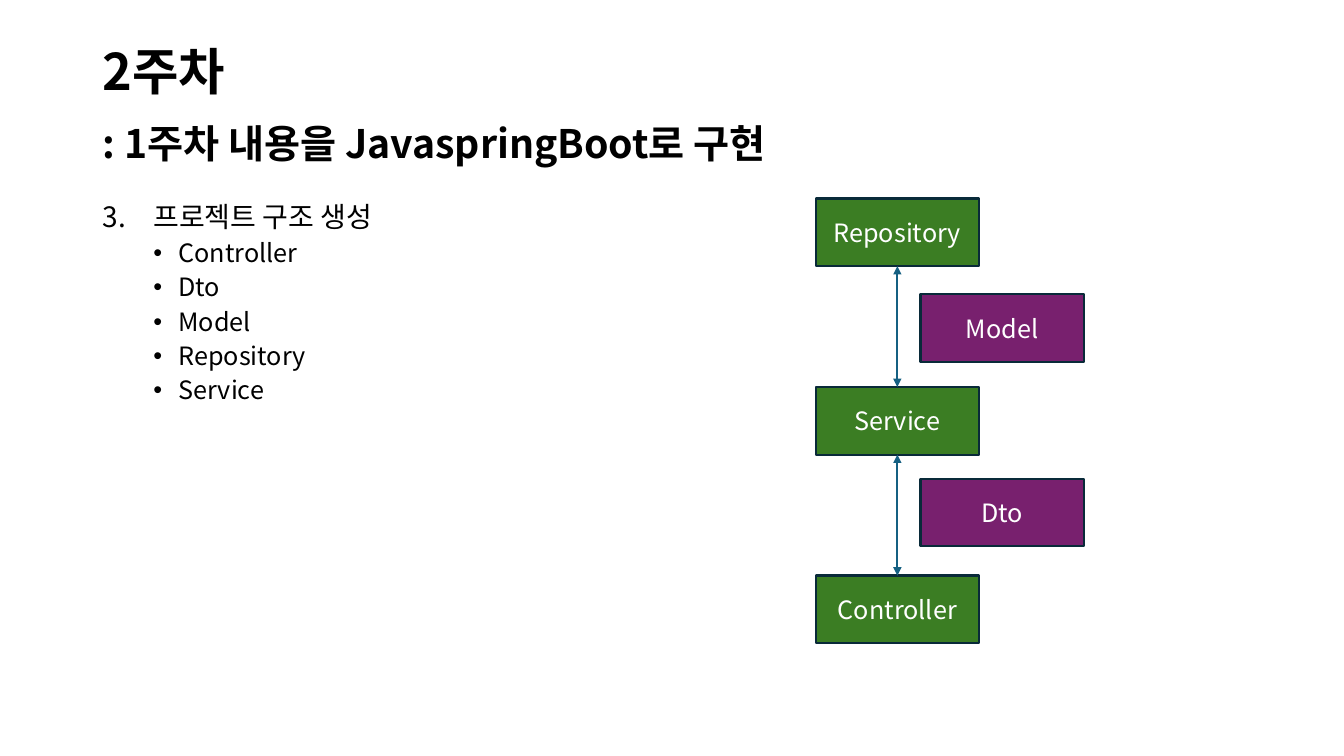
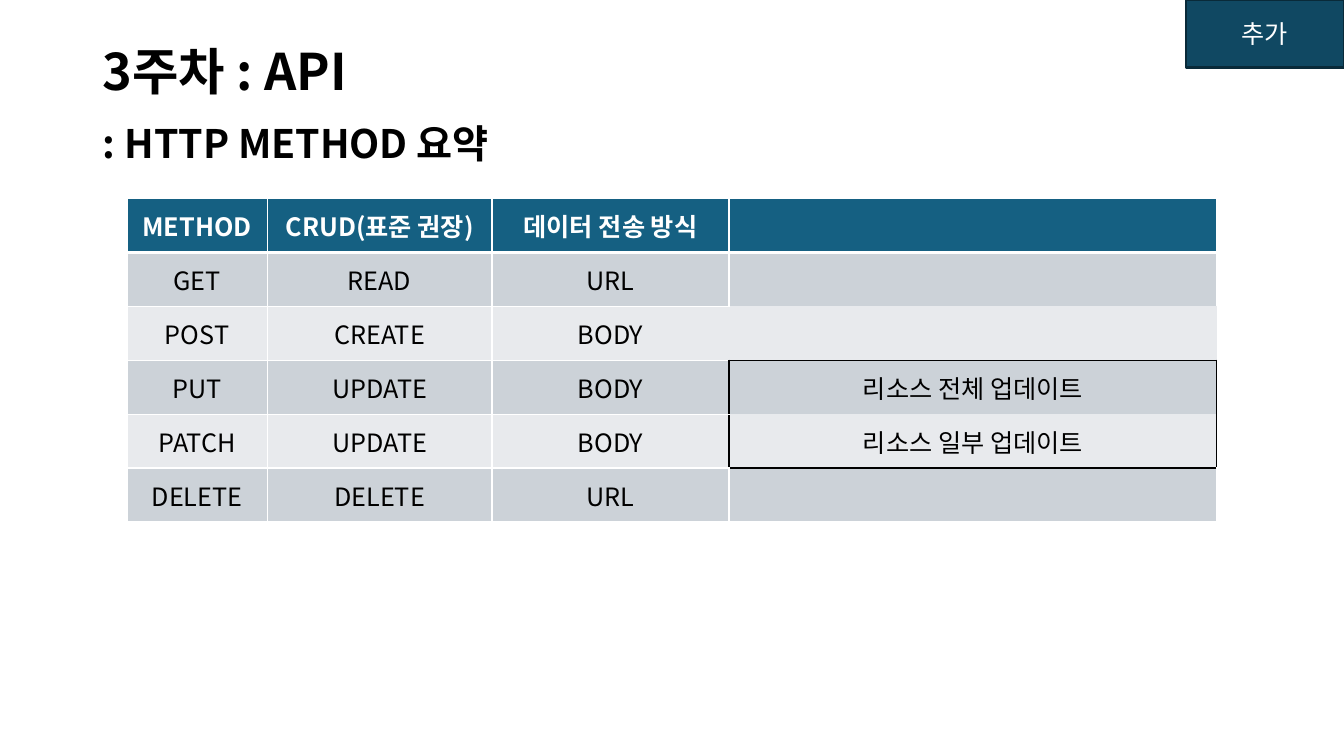
"""Builds two lecture slides: a layered project structure and a summary of HTTP methods."""
from pptx import Presentation, util as u
from pptx.dml import color
from pptx.enum import shapes, text
from pptx.oxml import ns
from lxml import etree

FONT = "Noto Sans CJK KR"
BLACK, WHITE, OUTLINE = "000000", "FFFFFF", "092A39"
GREEN, PURPLE, BLUE, DARK_BLUE = "3B7D23", "78206E", "156082", "104862"
BANDS = "CCD2D8", "E8EAED"
WIDTH, HEIGHT = 13.33, 7.5
LEFT, TOP, FULL = 0.92, 1.97, 11.5
BOX_WIDTH, BOX_HEIGHT = 1.62, 0.67
LAYER_LEFT, LAYER_STEP, CARRIER_LEFT = 8.09, 1.87, 9.13

STRUCTURE = {
    "title": "2주차",
    "subtitle": ": 1주차 내용을 JavaspringBoot로 구현",
    "item": "프로젝트 구조 생성",
    "parts": ["Controller", "Dto", "Model", "Repository", "Service"],
    "layers": ["Repository", "Service", "Controller"],
    "carriers": [("Model", 2.92), ("Dto", 4.75)],
}
METHODS = {
    "title": "3주차 : API",
    "subtitle": ": HTTP METHOD 요약",
    "tag": "추가",
    "columns": [1.39, 2.23, 2.35, 4.84],
    "rows": [
        ("METHOD", "CRUD(표준 권장)", "데이터 전송 방식", ""),
        ("GET", "READ", "URL", ""),
        ("POST", "CREATE", "BODY", ""),
        ("PUT", "UPDATE", "BODY", "리소스 전체 업데이트"),
        ("PATCH", "UPDATE", "BODY", "리소스 일부 업데이트"),
        ("DELETE", "DELETE", "URL", ""),
    ],
}
ROW_HEIGHT, TABLE_LEFT = 0.535, 1.26
NOTE_SIDES = [WHITE, WHITE, None, BLACK, BLACK, WHITE]
NOTE_LEVELS = [WHITE, WHITE, None, BLACK, None, BLACK, WHITE]


def rgb(value):
    """Turn a hex string into a colour."""
    return color.RGBColor.from_string(value)


def add_node(parent, tag, **attributes):
    """Append a drawing element with its attributes."""
    return etree.SubElement(parent, ns.qn("a:" + tag), attributes)


def write(para, words, size=18, ink=BLACK, bold=False, align=None, before=0, spacing=None):
    """Put one formatted span of text into a paragraph."""
    para.alignment = align
    para.space_before = u.Pt(before)
    para.line_spacing = spacing
    span = para.add_run()
    span.text = words
    span.font.size, span.font.bold, span.font.name = u.Pt(size), bold, FONT
    span.font.color.rgb = rgb(ink)
    add_node(span.font._element, "ea", typeface=FONT)


def set_bullet(para, margin, hang, tag, **attributes):
    """Give a paragraph its indent and bullet."""
    props = para._p.get_or_add_pPr()
    props.set("marL", str(u.Inches(margin)))
    props.set("indent", str(u.Inches(-hang)))
    add_node(props, tag, **attributes)


def place(holder, top, height, anchor):
    """Move a placeholder to the shared text column."""
    holder.left, holder.top = u.Inches(LEFT), u.Inches(top)
    holder.width, holder.height = u.Inches(FULL), u.Inches(height)
    frame = holder.text_frame
    frame.auto_size = text.MSO_AUTO_SIZE.NONE
    frame.word_wrap = True
    frame.vertical_anchor = anchor
    return frame


def add_headings(page, content, subtitle):
    """Fill the title and subtitle that every slide has."""
    middle = text.MSO_ANCHOR.MIDDLE
    left = text.PP_ALIGN.LEFT
    para = place(page.shapes.title, 0.4, 0.68, middle).paragraphs[0]
    write(para, content["title"], size=36, bold=True, align=left, spacing=0.9)
    para = place(subtitle, 1.21, 0.48, middle).paragraphs[0]
    set_bullet(para, 0, 0, "buNone")
    write(para, content["subtitle"], size=28, bold=True, align=left, spacing=0.9)


def add_box(page, words, left, top, fill, width=BOX_WIDTH):
    """Draw a labelled rectangle."""
    box = page.shapes.add_shape(shapes.MSO_SHAPE.RECTANGLE, u.Inches(left), u.Inches(top),
                                u.Inches(width), u.Inches(BOX_HEIGHT))
    box.shadow.inherit = False
    box.fill.solid()
    box.fill.fore_color.rgb = rgb(fill)
    box.line.color.rgb = rgb(OUTLINE)
    box.line.width = u.Pt(1.5)
    box.text_frame.word_wrap = True
    box.text_frame.vertical_anchor = text.MSO_ANCHOR.MIDDLE
    write(box.text_frame.paragraphs[0], words, ink=WHITE, align=text.PP_ALIGN.CENTER)
    return box


def join(page, upper, lower):
    """Link two boxes with a double-headed arrow."""
    arrow = page.shapes.add_connector(shapes.MSO_CONNECTOR.STRAIGHT, 0, 0, 0, 0)
    arrow.begin_connect(upper, 2)
    arrow.end_connect(lower, 0)
    arrow.line.color.rgb = rgb(BLUE)
    arrow.line.width = u.Pt(1.5)
    for end in ("headEnd", "tailEnd"):
        add_node(arrow.line._get_or_add_ln(), end, type="triangle")
    add_node(arrow._element.spPr, "effectLst")


def set_borders(cell, row, column):
    """Draw the four edges of a table cell, with a black frame round the notes."""
    note = column == len(METHODS["columns"]) - 1
    beside_note = column == len(METHODS["columns"]) - 2
    edges = {
        "lnL": NOTE_SIDES[row] if note else WHITE,
        "lnR": NOTE_SIDES[row] if note or beside_note else WHITE,
        "lnT": NOTE_LEVELS[row] if note else WHITE,
        "lnB": NOTE_LEVELS[row + 1] if note else WHITE,
    }
    props = cell._tc.get_or_add_tcPr()
    for index, (side, ink) in enumerate(edges.items()):
        thick = (row, side) in ((0, "lnB"), (1, "lnT"))
        line = etree.Element(ns.qn("a:" + side), w=str(u.Pt(3 if thick else 1)))
        if ink:
            add_node(add_node(line, "solidFill"), "srgbClr", val=ink)
        else:
            add_node(line, "noFill")
        props.insert(index, line)


def add_method_table(page):
    """Build the table of HTTP methods."""
    rows, columns = METHODS["rows"], METHODS["columns"]
    table = page.shapes.add_table(len(rows), len(columns), u.Inches(TABLE_LEFT), u.Inches(TOP),
                                  u.Inches(sum(columns)), u.Inches(ROW_HEIGHT * len(rows))).table
    table.first_row = table.horz_banding = False
    for column, width in zip(table.columns, columns):
        column.width = u.Inches(width)
    for row, words in enumerate(rows):
        header = row == 0
        for column, label in enumerate(words):
            cell = table.cell(row, column)
            cell.fill.solid()
            cell.fill.fore_color.rgb = rgb(BLUE if header else BANDS[(row - 1) % 2])
            cell.vertical_anchor = text.MSO_ANCHOR.MIDDLE
            set_borders(cell, row, column)
            if label:
                write(cell.text_frame.paragraphs[0], label, bold=header,
                      ink=WHITE if header else BLACK, align=text.PP_ALIGN.CENTER)


def build_structure(deck):
    """Build the slide on project structure."""
    page = deck.slides.add_slide(deck.slide_layouts.get_by_name("Two Content"))
    add_headings(page, STRUCTURE, page.placeholders[2])
    frame = place(page.placeholders[1], TOP, 4.78, text.MSO_ANCHOR.TOP)
    para = frame.paragraphs[0]
    set_bullet(para, 0.5, 0.5, "buAutoNum", type="arabicPeriod", startAt="3")
    write(para, STRUCTURE["item"], size=20, spacing=0.9)
    for part in STRUCTURE["parts"]:
        para = frame.add_paragraph()
        para.level = 1
        set_bullet(para, 0.75, 0.25, "buChar", char="•")
        write(para, part, before=5, spacing=0.9)
    for label, top in STRUCTURE["carriers"]:
        add_box(page, label, CARRIER_LEFT, top, PURPLE)
    layers = [add_box(page, label, LAYER_LEFT, TOP + LAYER_STEP * index, GREEN)
              for index, label in enumerate(STRUCTURE["layers"])]
    for upper, lower in zip(layers, layers[1:]):
        join(page, upper, lower)


def build_methods(deck):
    """Build the slide on HTTP methods."""
    page = deck.slides.add_slide(deck.slide_layouts.get_by_name("Title and Content"))
    add_headings(page, METHODS, page.placeholders[1])
    add_method_table(page)
    tag_width = 1.57
    add_box(page, METHODS["tag"], WIDTH - tag_width, 0, DARK_BLUE, width=tag_width)


def main():
    """Build and save the deck."""
    deck = Presentation()
    deck.slide_width, deck.slide_height = u.Inches(WIDTH), u.Inches(HEIGHT)
    build_structure(deck)
    build_methods(deck)
    deck.save("out.pptx")


if __name__ == "__main__":
    main()
